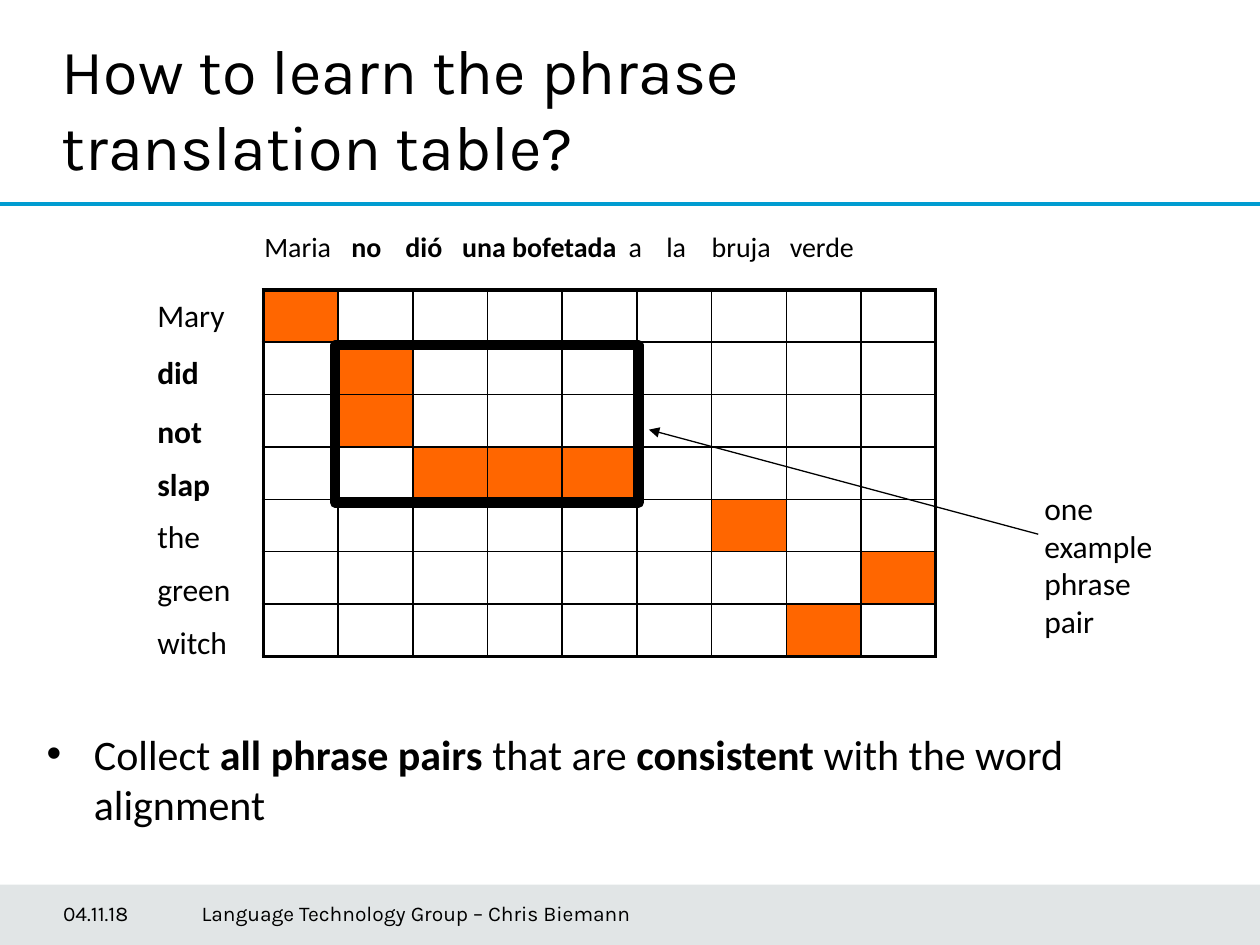
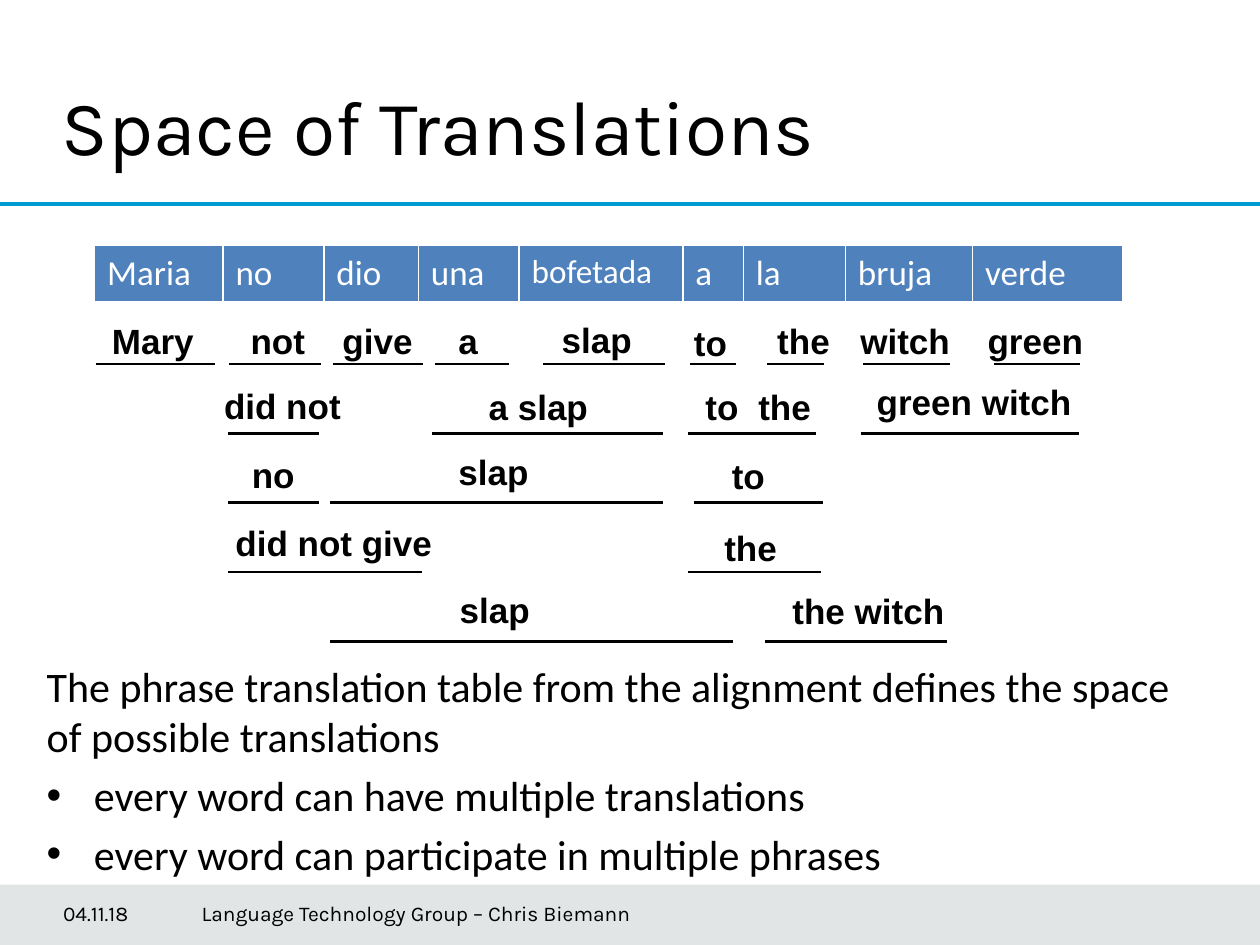
import pptx
import pptx.util
import pptx.dml.color
import pptx.enum.shapes
import pptx.enum.text
import pptx.oxml
import pptx.oxml.ns
import lxml.etree

W, H = 10, 7.5
BLACK, WHITE, ORANGE, BLUE, RULE, BAND = "000000", "FFFFFF", "FF6600", "4F81BD", "009CD1", "3B515B"
FOOTER = [("04.11.18", 0.5, 0.99), ("Language Technology Group – Chris Biemann", 1.6, 4.95)]

ALIGNMENT = {
    "title": "How to learn the phrase translation table?",
    "body": [("Collect *all phrase pairs* that are *consistent* with the word alignment", True)],
    "spanish": "Maria\t*no\tdió\tuna bofetada*\ta\tla\tbruja\tverde",
    "tabs": [0.69, 1.12, 1.57, 2.89, 3.19, 3.55, 4.17],
    "english": [("Mary", 0), ("*did*", 11), ("*not*", 12), ("*slap*", 8.5), ("the", 8.5), ("green", 8.5), ("witch", 8.5)],
    "aligned": {(0, 0), (1, 1), (2, 1), (3, 2), (3, 3), (3, 4), (4, 6), (5, 8), (6, 7)},
    "note": ["one", "example", "phrase", "pair"],
}
GRID_X, GRID_Y, COL, ROW, COLS, ROWS = 2.09, 2.3, 0.593, 0.416, 9, 7

SPACE = {
    "title": "Space of Translations",
    "body": [
        ("The phrase translation table from the alignment defines the space of possible translations", False),
        ("every word can have multiple translations", True),
        ("every word can participate in multiple phrases", True),
    ],
    "words": [("Maria", 1.02), ("no", 0.8), ("dio", 0.75), ("una", 0.8), ("bofetada", 1.3),
              ("a", 0.48), ("la", 0.81), ("bruja", 1.01), ("verde", 1.19)],
    "phrases": [
        ("Mary", 0.79, 2.49, 0.87), ("not", 1.89, 2.49, 0.64), ("give", 2.62, 2.49, 0.76),
        ("a", 3.54, 2.49, 0.36), ("slap", 4.36, 2.48, 0.76), ("to", 5.41, 2.5, 0.47),
        ("the", 6.07, 2.49, 0.62), ("witch", 6.73, 2.49, 0.92), ("green", 7.74, 2.49, 0.97),
        ("did not", 1.68, 3, 1.14), ("a slap", 3.78, 3.01, 1), ("to", 5.5, 3.01, 0.47),
        ("the", 5.92, 3.01, 0.62), ("green witch", 6.86, 2.97, 1.76),
        ("no", 1.9, 3.55, 0.54), ("slap", 3.54, 3.53, 0.76), ("to", 5.71, 3.56, 0.47),
        ("did not give", 1.77, 4.09, 1.78), ("the", 5.65, 4.13, 0.62),
        ("slap", 3.55, 4.62, 0.76), ("the witch", 6.19, 4.63, 1.42),
    ],
    "spans": [
        [(0.76, 1.71), (1.82, 2.55), (2.64, 3.36), (3.45, 4.04), (4.31, 5.28),
         (5.48, 5.84), (6.09, 6.54), (6.85, 7.54), (7.89, 8.57)],
        [(1.81, 2.53), (3.43, 4.35), (4.29, 5.26), (5.46, 5.82), (5.75, 6.48), (6.83, 8), (7.87, 8.56)],
        [(1.81, 2.53), (2.62, 3.47), (3.43, 4.03), (3.87, 5.26), (5.51, 5.87), (5.8, 6.53)],
        [(1.81, 2.53), (2.46, 3.35), (5.46, 5.82), (5.75, 6.52)],
        [(2.62, 3.45), (3.43, 4.33), (4.29, 5.46), (5.46, 5.82), (6.07, 6.52), (6.5, 7.52)],
    ],
}
SPAN_Y, SPAN_STEP = 2.89, 0.55


def inches(*values):
    return [pptx.util.Inches(v) for v in values]


def rgb(color):
    return pptx.dml.color.RGBColor.from_string(color)


def sub(parent, tag, **attrs):
    e = lxml.etree.SubElement(parent, pptx.oxml.ns.qn(tag))
    for name, value in attrs.items():
        e.set(name, str(value))
    return e


def write(p, text, size=18, font="Calibri", color=BLACK, bold=False, before=None):
    if before is not None:
        p.space_before = pptx.util.Pt(before)
    for i, part in enumerate(text.split("*")):
        if part:
            r = p.add_run()
            r.text = part
            r.font.size, r.font.name = pptx.util.Pt(size), font
            r.font.bold = bold or i % 2 == 1
            r.font.color.rgb = rgb(color)


def add_text(s, at, lines, wrap=False, **fmt):
    tf = s.shapes.add_textbox(*inches(*at)).text_frame
    tf.word_wrap = wrap
    for i, (text, before) in enumerate(lines):
        p = tf.paragraphs[0] if i == 0 else tf.add_paragraph()
        write(p, text, before=before, **fmt)
    return tf


def add_line(s, start, end, color=BLACK, width=1.5, arrow=False):
    c = s.shapes.add_connector(pptx.enum.shapes.MSO_CONNECTOR.STRAIGHT, *inches(*start, *end))
    c.line.color.rgb = rgb(color)
    c.line.width = pptx.util.Pt(width)
    if arrow:
        sub(c.line._get_or_add_ln(), "a:tailEnd", type="triangle")
    sub(c._element.spPr, "a:effectLst")


def add_rect(s, at, fill=None, alpha=100, line=None, width=1):
    sp = s.shapes.add_shape(pptx.enum.shapes.MSO_SHAPE.RECTANGLE, *inches(*at))
    sp.shadow.inherit = False
    if fill:
        sp.fill.solid()
        sp.fill.fore_color.rgb = rgb(fill)
        sub(sp.fill._xPr.find(".//" + pptx.oxml.ns.qn("a:srgbClr")), "a:alpha", val=alpha * 1000)
    else:
        sp.fill.background()
    if line:
        sp.line.color.rgb = rgb(line)
        sp.line.width = pptx.util.Pt(width)
    else:
        sp.line.fill.background()


def add_table(s, x, y, widths, heights):
    gf = s.shapes.add_table(len(heights), len(widths), *inches(x, y, sum(widths), sum(heights)))
    t = gf.table
    t.first_row = t.horz_banding = False
    for col, w in zip(t.columns, widths):
        col.width = pptx.util.Inches(w)
    for row, h in zip(t.rows, heights):
        row.height = pptx.util.Inches(h)
    return t


def style_cell(cell, fill, color, **widths):
    tcPr = cell._tc.get_or_add_tcPr()
    for side in "LRTB":
        ln = sub(tcPr, "a:ln" + side, w=int(pptx.util.Pt(widths[side])))
        sub(sub(ln, "a:solidFill"), "a:srgbClr", val=color)
    if fill:
        cell.fill.solid()
        cell.fill.fore_color.rgb = rgb(fill)
    else:
        cell.fill.background()


def place(sp, at):
    sp.left, sp.top, sp.width, sp.height = inches(*at)
    sp.text_frame.auto_size = pptx.enum.text.MSO_AUTO_SIZE.NONE
    return sp.text_frame


def new_slide(prs, content, title_top, title_height, title_size, body_top, body_height):
    s = prs.slides.add_slide(prs.slide_layouts[1])
    tf = place(s.shapes.title, (0.39, title_top, 7.52, title_height))
    tf.vertical_anchor = pptx.enum.text.MSO_ANCHOR.MIDDLE
    tf.paragraphs[0].alignment = pptx.enum.text.PP_ALIGN.LEFT
    write(tf.paragraphs[0], content["title"], size=title_size, font="Karla")
    tf = place(s.placeholders[1], (0.27, body_top, 9.45, body_height))
    for i, (text, bullet) in enumerate(content["body"]):
        p = tf.paragraphs[0] if i == 0 else tf.add_paragraph()
        if not bullet:
            pPr = p._p.get_or_add_pPr()
            pPr.set("marL", "0")
            pPr.set("indent", "0")
            sub(pPr, "a:buNone")
        write(p, text, size=24, before=0 if i == 0 else None)
    add_rect(s, (0, H - 0.48, W, 0.48), fill=BAND, alpha=15)
    add_line(s, (0, 1.62), (W, 1.62), color=RULE, width=2)
    for text, x, w in FOOTER:
        tf = add_text(s, (x, 7.05, w, 0.4), [(text, 0)], wrap=True, size=12, font="Karla")
        tf.margin_left = 0
        tf.vertical_anchor = pptx.enum.text.MSO_ANCHOR.MIDDLE
    return s


def alignment_slide(prs):
    c = ALIGNMENT
    s = new_slide(prs, c, 0.14, 1.42, 36, 5.73, 1.25)
    t = add_table(s, GRID_X, GRID_Y, [COL] * COLS, [ROW] * ROWS)
    for i in range(ROWS):
        for j in range(COLS):
            edges = {"L": j == 0, "R": j == COLS - 1, "T": i == 0, "B": i == ROWS - 1}
            style_cell(t.cell(i, j), ORANGE if (i, j) in c["aligned"] else None, BLACK,
                       **{side: 2.25 if outer else 1 for side, outer in edges.items()})
    add_text(s, (1.15, GRID_Y, 0.86, 3.01), c["english"])
    tf = add_text(s, (2, 1.77, 5.63, 0.37), [], wrap=True)
    p = tf.paragraphs[0]
    tabs = sub(p._p.get_or_add_pPr(), "a:tabLst")
    for pos in c["tabs"]:
        sub(tabs, "a:tab", pos=int(pptx.util.Inches(pos)), algn="l")
    write(p, c["spanish"], size=16)
    add_rect(s, (2.66, 2.74, 2.41, 3 * ROW), line=BLACK, width=6)
    add_line(s, (8.24, 4.24), (5.15, 3.41), width=0.75, arrow=True)
    add_text(s, (8.19, 3.83, 1.15, 1.3), [(word, 0) for word in c["note"]])


def space_slide(prs):
    c = SPACE
    s = new_slide(prs, c, 0.53, 0.92, 44, 5.19, 1.83)
    t = add_table(s, 0.75, 1.95, [w for _, w in c["words"]], [0.46])
    for j, (word, _) in enumerate(c["words"]):
        cell = t.cell(0, j)
        style_cell(cell, BLUE, WHITE, L=1, R=1, T=1, B=3)
        write(cell.text_frame.paragraphs[0], word, size=19 if word == "bofetada" else 20, color=WHITE)
    for i, spans in enumerate(c["spans"]):
        y = SPAN_Y + i * SPAN_STEP
        for x1, x2 in spans:
            add_line(s, (x1, y), (x2, y))
    for text, x, y, w in c["phrases"]:
        add_text(s, (x, y, w, 0.44), [(text, 0)], size=20, font="Arial", bold=True)


def main():
    prs = pptx.Presentation()
    prs.slide_width, prs.slide_height = inches(W, H)
    alignment_slide(prs)
    space_slide(prs)
    prs.save("out.pptx")


if __name__ == "__main__":
    main()
